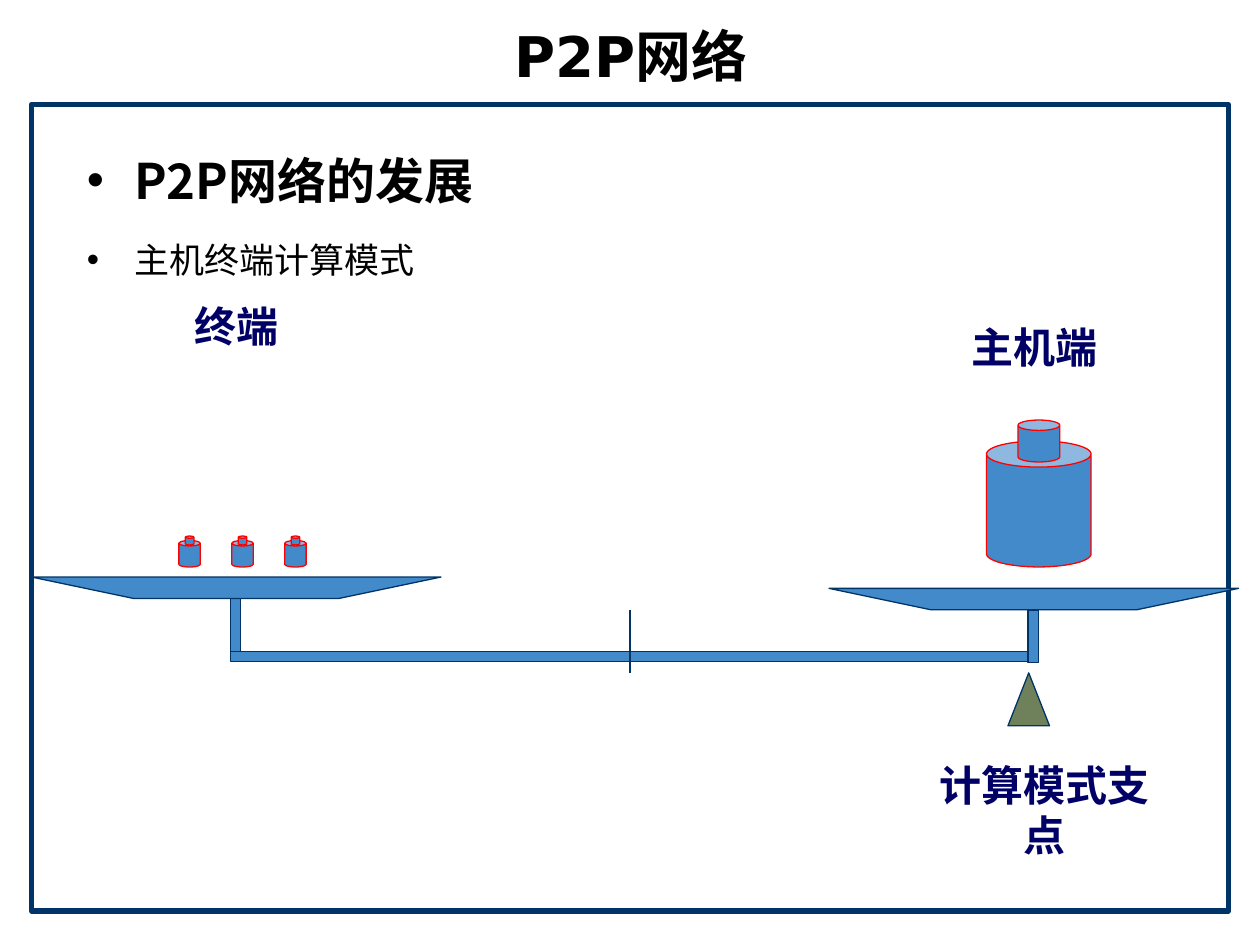
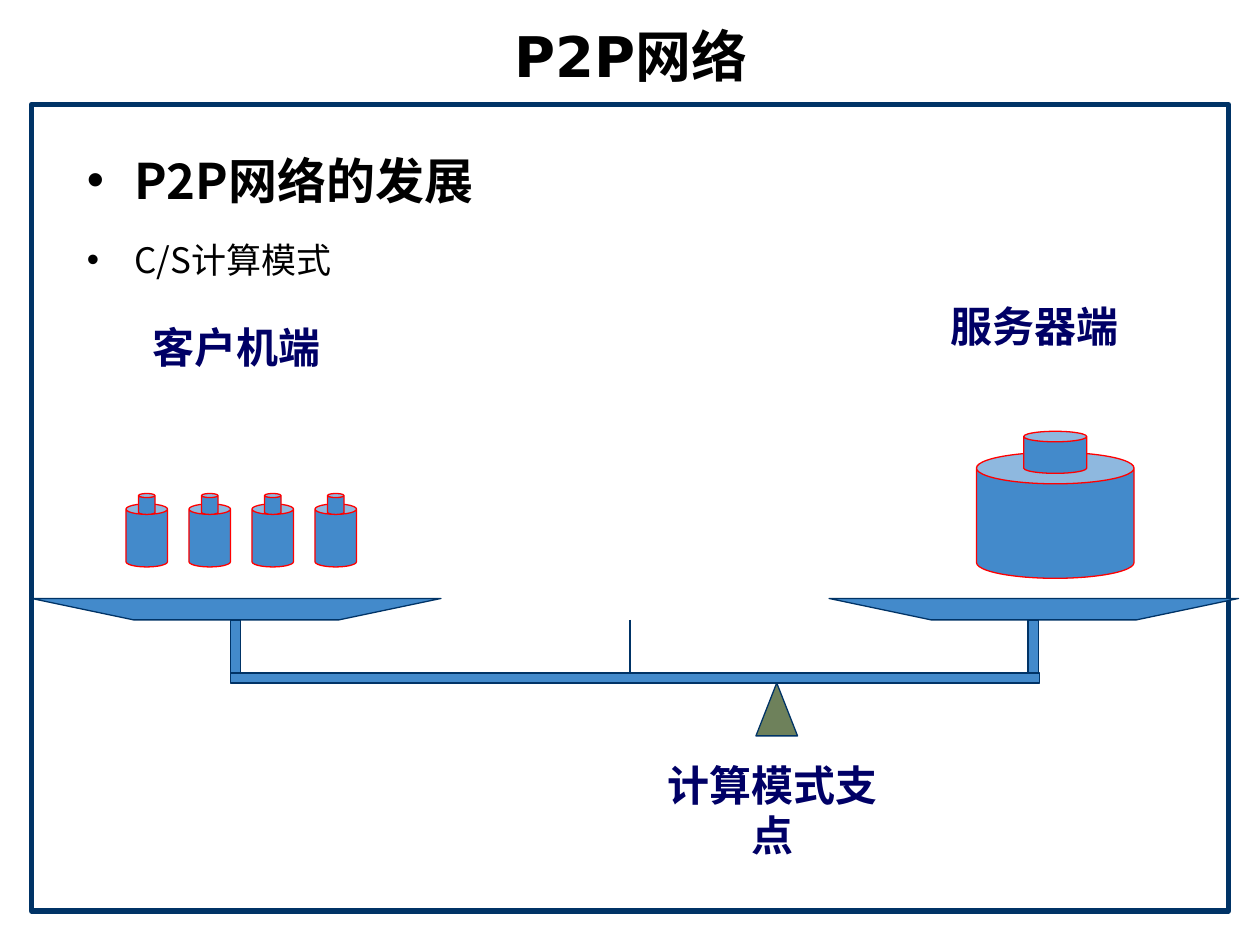
"""Builds two slides that weigh computing models on a balance."""
from dataclasses import dataclass

from lxml.etree import SubElement
from pptx import Presentation
from pptx.dml.color import RGBColor
from pptx.enum.shapes import MSO_CONNECTOR, MSO_SHAPE
from pptx.enum.text import MSO_ANCHOR, MSO_AUTO_SIZE, PP_ALIGN
from pptx.oxml.ns import qn
from pptx.util import Inches, Pt

COLOURS = {
    "text": "000000",
    "label": "000066",
    "outline": "003366",
    "balance": "438ACB",
    "fulcrum": "6E815B",
    "weight_line": "FF0000",
}
EAST_ASIAN_FONT = "Noto Sans CJK SC"
TITLE_FONT = {"name": "DejaVu Sans", "size": Pt(32), "bold": True}
HEADING_FONT = {"name": EAST_ASIAN_FONT, "size": Pt(28), "bold": True}
ITEM_FONT = {"name": EAST_ASIAN_FONT, "size": Pt(20), "bold": False}
LABEL_FONT = {"name": "Times New Roman", "size": Pt(24), "bold": True}

PAN_LEFTS = (0.25, 6.58)
PAN_WIDTH, PAN_HEIGHT, PAN_SLOPE = 3.25, 0.17, 0.81
POST_OFFSET, POST_HEIGHT, BAR = 1.58, 0.42, 0.08
FULCRUM_WIDTH, FULCRUM_HEIGHT = 0.33, 0.42
POINTER_LEFT, POINTER_HEIGHT = 5, 0.5
LABEL_WIDTH, LABEL_HEIGHT = 1.92, 0.67


@dataclass
class Weights:
    left: float
    top: float
    width: float
    height: float
    count: int = 1
    pitch: float = 0


@dataclass
class Label:
    text: str
    left: float
    top: float


@dataclass
class Balance:
    model: str
    pan_tops: tuple[float, float]
    beam_top: float
    beam_width: float
    beam_in_front: bool
    pointer_top: float
    fulcrum_left: float
    fulcrum_top: float
    weights: list[Weights]
    labels: list[Label]


BALANCES = [
    Balance(
        "主机终端计算模式", (4.58, 4.67), 5.17, 6.33, False, 4.84, 8, 5.34,
        [Weights(7.83, 3.5, 0.83, 1), Weights(1.42, 4.29, 0.17, 0.21, 3, 0.42)],
        [Label("主机端", 7.25, 2.42), Label("终端", 0.92, 2.25),
         Label("计算模式支点", 7.33, 6.09)],
    ),
    Balance(
        "C/S计算模式", (4.75, 4.75), 5.34, 6.42, True, 4.92, 6, 5.42,
        [Weights(7.75, 3.59, 1.25, 1), Weights(1, 4, 0.33, 0.5, 4, 0.5)],
        [Label("客户机端", 0.92, 2.42), Label("服务器端", 7.25, 2.25),
         Label("计算模式支点", 5.17, 6.09)],
    ),
]


def colour(name: str) -> RGBColor:
    return RGBColor.from_string(COLOURS[name])


def write(paragraph, text: str, font_format: dict, colour_name: str = "text") -> None:
    run = paragraph.add_run()
    run.text = text
    for attribute, value in font_format.items():
        setattr(run.font, attribute, value)
    run.font.color.rgb = colour(colour_name)
    SubElement(run.font._element, qn("a:ea"), typeface=EAST_ASIAN_FONT)


def place(shape, left: float, top: float, width: float, height: float) -> None:
    box = {"left": left, "top": top, "width": width, "height": height}
    for attribute, value in box.items():
        setattr(shape, attribute, Inches(value))


def paint(shape, fill: str | None, line: str = "outline", width: float = 0.75) -> None:
    shape.shadow.inherit = False
    if fill:
        shape.fill.solid()
        shape.fill.fore_color.rgb = colour(fill)
    else:
        shape.fill.background()
    shape.line.color.rgb = colour(line)
    shape.line.width = Pt(width)


def add_preset(shapes, preset, left: float, top: float, width: float, height: float,
               fill: str | None = "balance", line: str = "outline",
               line_width: float = 0.75) -> None:
    box = [Inches(value) for value in (left, top, width, height)]
    paint(shapes.add_shape(preset, *box), fill, line, line_width)


def add_pan(slide, left: float, top: float) -> None:
    right, bottom = left + PAN_WIDTH, top + PAN_HEIGHT
    corners = [(left + PAN_SLOPE, bottom), (right - PAN_SLOPE, bottom), (right, top)]
    builder = slide.shapes.build_freeform(Inches(left), Inches(top))
    builder.add_line_segments([(Inches(x), Inches(y)) for x, y in corners], close=True)
    paint(builder.convert_to_shape(), "balance")


def add_beam(slide, balance: Balance) -> None:
    add_preset(slide.shapes, MSO_SHAPE.RECTANGLE, PAN_LEFTS[0] + POST_OFFSET,
               balance.beam_top, balance.beam_width, BAR)


def add_pointer(slide, top: float) -> None:
    pointer = slide.shapes.add_connector(
        MSO_CONNECTOR.STRAIGHT, Inches(POINTER_LEFT), Inches(top),
        Inches(POINTER_LEFT), Inches(top + POINTER_HEIGHT))
    pointer.line.color.rgb = colour("outline")
    pointer.line.width = Pt(0.75)
    SubElement(pointer._element.spPr, qn("a:effectLst"))


def add_weights(slide, weights: Weights) -> None:
    knob_width, rise = weights.width * 0.4, weights.height / 6
    for index in range(weights.count):
        left = weights.left + index * weights.pitch
        knob_left = left + (weights.width - knob_width) / 2
        group = slide.shapes.add_group_shape()
        for box in ((left, weights.top, weights.width, weights.height),
                    (knob_left, weights.top - rise, knob_width, 2 * rise)):
            add_preset(group.shapes, MSO_SHAPE.CAN, *box, line="weight_line")


def add_label(slide, label: Label) -> None:
    box = (label.left, label.top, LABEL_WIDTH, LABEL_HEIGHT)
    frame = slide.shapes.add_textbox(*[Inches(value) for value in box]).text_frame
    frame.word_wrap = False
    frame.vertical_anchor = MSO_ANCHOR.MIDDLE
    paragraph = frame.paragraphs[0]
    paragraph.alignment = PP_ALIGN.CENTER
    write(paragraph, label.text, LABEL_FONT, "label")


def add_page(presentation, model: str):
    slide = presentation.slides.add_slide(presentation.slide_layouts[1])
    title, body = slide.shapes.title, slide.placeholders[1]
    place(title, 0.27, 0.13, 9.48, 0.62)
    place(body, 0.59, 0.91, 9, 5.99)
    for placeholder in (title, body):
        placeholder.text_frame.auto_size = MSO_AUTO_SIZE.NONE
    title.text_frame.vertical_anchor = MSO_ANCHOR.MIDDLE
    title.text_frame.paragraphs[0].alignment = PP_ALIGN.CENTER
    write(title.text_frame.paragraphs[0], "P2P网络", TITLE_FONT)
    heading, item = body.text_frame.paragraphs[0], body.text_frame.add_paragraph()
    for paragraph, text, font_format, space in (
            (heading, "P2P网络的发展", HEADING_FONT, 0), (item, model, ITEM_FONT, 5)):
        paragraph.line_spacing = 1.5
        paragraph.space_before = Pt(space)
        write(paragraph, text, font_format)
    add_preset(slide.shapes, MSO_SHAPE.RECTANGLE, 0.25, 0.83, 9.5, 6.4,
               fill=None, line_width=3)
    return slide


def add_balance(slide, balance: Balance) -> None:
    if not balance.beam_in_front:
        add_beam(slide, balance)
    for left, top in zip(PAN_LEFTS, balance.pan_tops):
        add_preset(slide.shapes, MSO_SHAPE.RECTANGLE, left + POST_OFFSET,
                   top + PAN_HEIGHT, BAR, POST_HEIGHT)
        add_pan(slide, left, top)
    add_preset(slide.shapes, MSO_SHAPE.ISOSCELES_TRIANGLE, balance.fulcrum_left,
               balance.fulcrum_top, FULCRUM_WIDTH, FULCRUM_HEIGHT, fill="fulcrum")
    add_pointer(slide, balance.pointer_top)
    if balance.beam_in_front:
        add_beam(slide, balance)
    for weights in balance.weights:
        add_weights(slide, weights)
    for label in balance.labels:
        add_label(slide, label)


def main() -> None:
    presentation = Presentation()
    presentation.slide_width, presentation.slide_height = Inches(10), Inches(7.5)
    for balance in BALANCES:
        add_balance(add_page(presentation, balance.model), balance)
    presentation.save("out.pptx")


if __name__ == "__main__":
    main()
